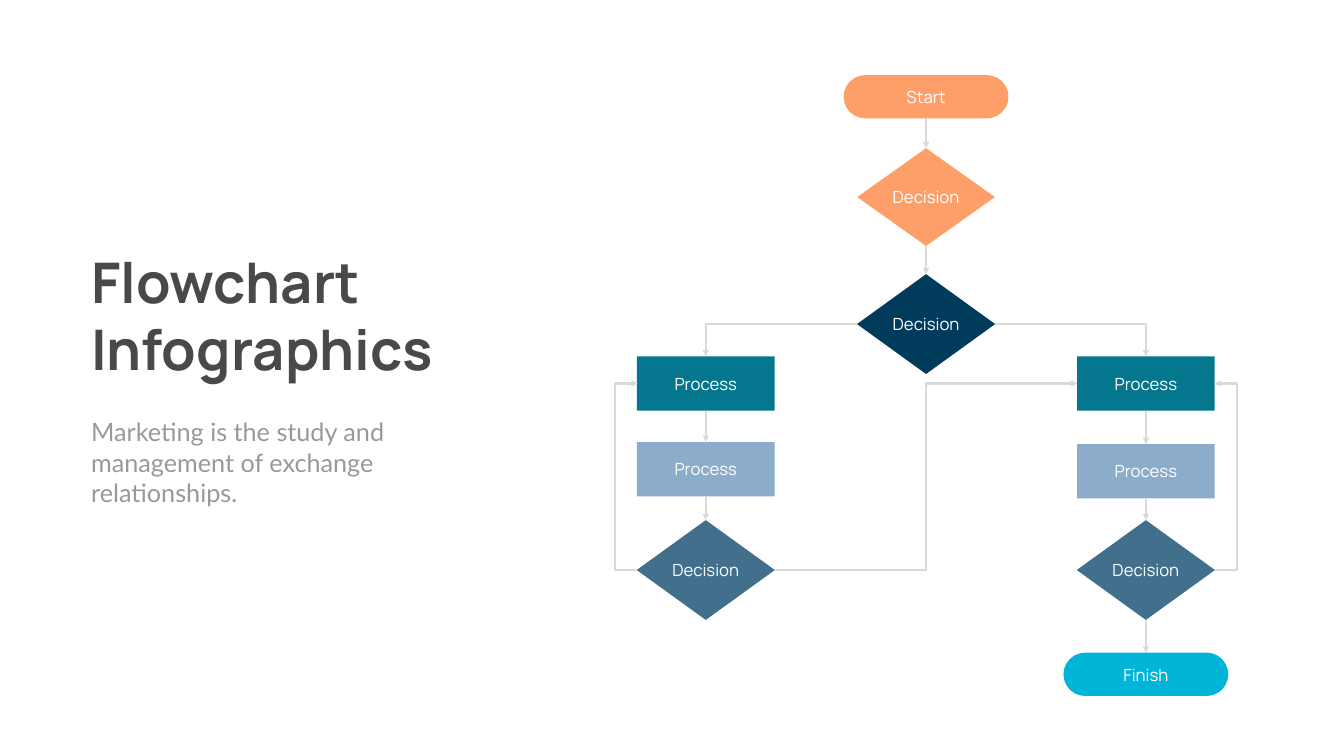
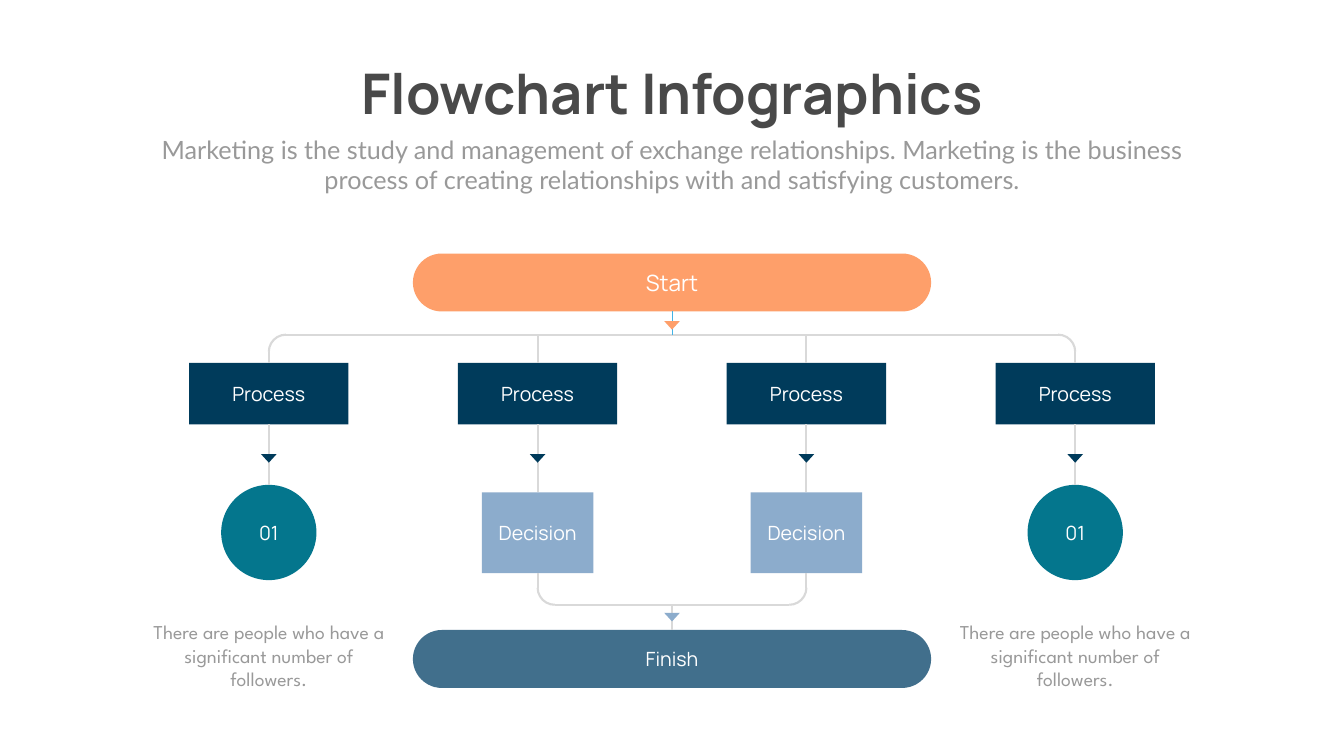
from lxml.etree import SubElement
from pptx import Presentation
from pptx.dml.color import RGBColor
from pptx.enum.shapes import MSO_CONNECTOR as LINE, MSO_SHAPE as SHAPE
from pptx.enum.text import MSO_ANCHOR as ANCHOR, MSO_AUTO_SIZE as AUTO_SIZE, PP_ALIGN as ALIGN
from pptx.oxml.ns import qn
from pptx.util import Inches, Pt

WIDTH, HEIGHT = 26.66, 15
TITLE_ONLY = 5
TOP, BOTTOM = 0, 2
RADIUS = 0.34
ORANGE, NAVY, TEAL = "FE9F6A", "003B5B", "04768D"
PALE_BLUE, STEEL, CYAN = "8CACCC", "416F8C", "00B5D8"
RULE, SKY = "D9D9D9", "43B3E5"
WHITE, DARK, GREY = "FFFFFF", "494949", "999999"

TITLE = {"name": "Manrope", "size": 80, "bold": True, "color": DARK}
BODY = {"name": "Lato", "size": 36, "color": GREY}
CAPTION = {"name": "League Spartan", "size": 28, "color": GREY}
LABEL = {"name": "Manrope", "size": 28, "color": WHITE}
SMALL_LABEL = {**LABEL, "size": 24}


def rgb(value):
    return RGBColor.from_string(value)


class Deck:
    """The presentation, its style and the slide being drawn."""

    def __init__(self):
        self.presentation = Presentation()
        self.presentation.slide_width = Inches(WIDTH)
        self.presentation.slide_height = Inches(HEIGHT)
        self.slide = None

    def set_text(self, shape, text, style, align, anchor, **frame_format):
        frame = shape.text_frame
        frame.text = text
        frame_format = {"word_wrap": True, "auto_size": AUTO_SIZE.NONE,
                        "vertical_anchor": anchor, **frame_format}
        for name, value in frame_format.items():
            setattr(frame, name, value)
        paragraph = frame.paragraphs[0]
        paragraph.alignment = align
        for name, value in style.items():
            if name == "color":
                paragraph.font.color.rgb = rgb(value)
            else:
                setattr(paragraph.font, name, Pt(value) if name == "size" else value)

    def titled_slide(self, title, box, align):
        layout = self.presentation.slide_layouts[TITLE_ONLY]
        self.slide = self.presentation.slides.add_slide(layout)
        placeholder = self.slide.shapes.title
        for name, value in zip(("left", "top", "width", "height"), box):
            setattr(placeholder, name, Inches(value))
        self.set_text(placeholder, title, TITLE, align, ANCHOR.TOP)

    def text(self, text, box, style, align=ALIGN.CENTER):
        shape = self.slide.shapes.add_textbox(*map(Inches, box))
        self.set_text(shape, text, style, align, ANCHOR.TOP)

    def node(self, kind, center, top, size, fill, text="", style=LABEL, rotation=0):
        """Add a filled shape centred on a column."""
        width, height = size
        shape = self.slide.shapes.add_shape(
            kind, *map(Inches, (center - width / 2, top, width, height)))
        shape.shadow.inherit = False
        shape.fill.solid()
        shape.fill.fore_color.rgb = rgb(fill)
        shape.line.fill.background()
        shape.rotation = rotation
        if kind == SHAPE.ROUNDED_RECTANGLE:
            shape.adjustments[0] = 0.5
        if text:
            margins = {f"margin_{side}": 0 for side in ("left", "top", "right", "bottom")}
            self.set_text(shape, text, style, ALIGN.CENTER, ANCHOR.MIDDLE,
                          **{**margins, "word_wrap": False})
        return shape

    def pointer(self, center, top, fill):
        self.node(SHAPE.ISOSCELES_TRIANGLE, center, top, (0.31, 0.17), fill, rotation=180)

    def corner(self, left, top, rotation):
        """Add a quarter arc; without rotation it is the top right corner."""
        arc = self.slide.shapes.add_shape(
            SHAPE.ARC, *map(Inches, (left, top, 2 * RADIUS, 2 * RADIUS)))
        arc.shadow.inherit = False
        arc.fill.background()
        arc.line.color.rgb = rgb(RULE)
        arc.line.width = Pt(3)
        arc.rotation = rotation

    def finish_line(self, connector, color=RULE, width=3, arrow=False):
        connector.line.color.rgb = rgb(color)
        connector.line.width = Pt(width)
        properties = connector._element.spPr
        if arrow:
            SubElement(properties.find(qn("a:ln")), qn("a:tailEnd"), type="triangle")
        SubElement(properties, qn("a:effectLst"))

    def link(self, start, end, **line_format):
        """Draw a straight line; each end is a point or a node to join."""
        begin_point = start if isinstance(start, tuple) else (0, 0)
        end_point = end if isinstance(end, tuple) else (0, 0)
        connector = self.slide.shapes.add_connector(
            LINE.STRAIGHT, *map(Inches, begin_point + end_point))
        if not isinstance(start, tuple):
            connector.begin_connect(start, BOTTOM)
        if not isinstance(end, tuple):
            connector.end_connect(end, TOP)
        self.finish_line(connector, **line_format)

    def elbow(self, start, end, turn):
        """Draw an arrow that leaves sideways and turns at the given x."""
        connector = self.slide.shapes.add_connector(
            LINE.ELBOW, *map(Inches, start + end))
        geometry = connector._element.spPr.find(qn("a:prstGeom"))
        if turn == end[0]:
            geometry.set("prst", "bentConnector2")
        else:
            share = round((turn - start[0]) / (end[0] - start[0]) * 100000)
            guides = geometry.find(qn("a:avLst"))
            SubElement(guides, qn("a:gd"), name="adj1", fmla=f"val {share}")
        self.finish_line(connector, arrow=True)


def decision_flow(deck):
    deck.titled_slide("Flowchart Infographics", (1.71, 4.86, 8.08, 2.79), ALIGN.LEFT)
    deck.text("Marketing is the study and management of exchange relationships.",
              (1.71, 8.22, 6.87, 1.92), BODY, ALIGN.LEFT)

    left, middle, right = 14, 18.37, 22.73
    pill, box, diamond = (3.27, 0.86), (2.73, 1.08), (2.74, 1.98)
    chains = [
        [(SHAPE.ROUNDED_RECTANGLE, middle, 1.49, pill, ORANGE, "Start"),
         (SHAPE.DIAMOND, middle, 2.94, (2.73, 1.94), ORANGE, "Decision"),
         (SHAPE.DIAMOND, middle, 5.44, diamond, NAVY, "Decision")],
        [(SHAPE.RECTANGLE, left, 7.07, box, TEAL, "Process"),
         (SHAPE.RECTANGLE, left, 8.77, box, PALE_BLUE, "Process"),
         (SHAPE.DIAMOND, left, 10.32, diamond, STEEL, "Decision")],
        [(SHAPE.RECTANGLE, right, 7.07, box, TEAL, "Process"),
         (SHAPE.RECTANGLE, right, 8.81, box, PALE_BLUE, "Process"),
         (SHAPE.DIAMOND, right, 10.32, diamond, STEEL, "Decision"),
         (SHAPE.ROUNDED_RECTANGLE, right, 12.95, pill, CYAN, "Finish")],
    ]
    for chain in chains:
        nodes = [deck.node(*step, SMALL_LABEL) for step in chain]
        for upper, lower in zip(nodes, nodes[1:]):
            deck.link(upper, lower, arrow=True)

    split, process, check = 6.43, 7.61, 11.31
    deck.elbow((17, split), (left, 7.07), left)
    deck.elbow((19.74, split), (right, 7.07), right)
    deck.elbow((12.64, check), (12.65, process), 12.19)
    deck.elbow((15.37, check), (21.37, process), middle)
    deck.elbow((24.1, check), (24.09, process), 24.54)


def branching_flow(deck):
    deck.titled_slide("Flowchart Infographics", (6.55, 1.12, 13.57, 1.45), ALIGN.CENTER)
    deck.text("Marketing is the study and management of exchange relationships. "
              "Marketing is the business process of creating relationships with "
              "and satisfying customers.", (2.92, 2.61, 20.82, 1.31), BODY)

    center = WIDTH / 2
    columns = [WIDTH / 5 * number for number in range(1, 5)]
    first, second, third, last = columns
    branch, merge = 6.64, 12
    bar = (10.28, 1.15)
    start = deck.node(SHAPE.ROUNDED_RECTANGLE, center, 5.03, bar, ORANGE, "Start",
                      {**LABEL, "size": 32})
    finish = deck.node(SHAPE.ROUNDED_RECTANGLE, center, 12.5, bar, STEEL, "Finish")

    deck.link((first + RADIUS, branch), (last - RADIUS, branch))
    deck.corner(first, branch, 270)
    deck.corner(last - 2 * RADIUS, branch, 0)
    deck.link((second + RADIUS, merge), (third - RADIUS, merge))
    deck.corner(second, merge - 2 * RADIUS, 180)
    deck.corner(third - 2 * RADIUS, merge - 2 * RADIUS, 90)
    deck.link(start, (center, branch), color=SKY, width=1)
    deck.link((center, merge), finish)

    for column in columns:
        outer = column in (first, last)
        process = deck.node(SHAPE.RECTANGLE, column, 7.2, (3.16, 1.22), NAVY, "Process")
        deck.link((column, branch + RADIUS if outer else branch), process)
        if outer:
            result = deck.node(SHAPE.OVAL, column, 9.62, (1.89, 1.89), TEAL, "01")
            deck.text("There are people who have a significant number of followers.",
                      (column - 2.48, 12.25, 4.96, 1.51), CAPTION)
        else:
            result = deck.node(SHAPE.RECTANGLE, column, 9.77, (2.21, 1.6), PALE_BLUE,
                               "Decision")
            deck.link(result, (column, merge - RADIUS))
        deck.link(process, result)
        deck.pointer(column, 9.01, NAVY)

    deck.pointer(center, 6.37, ORANGE)
    deck.pointer(center, 12.16, PALE_BLUE)


def main():
    deck = Deck()
    decision_flow(deck)
    branching_flow(deck)
    deck.presentation.save("out.pptx")


if __name__ == "__main__":
    main()
